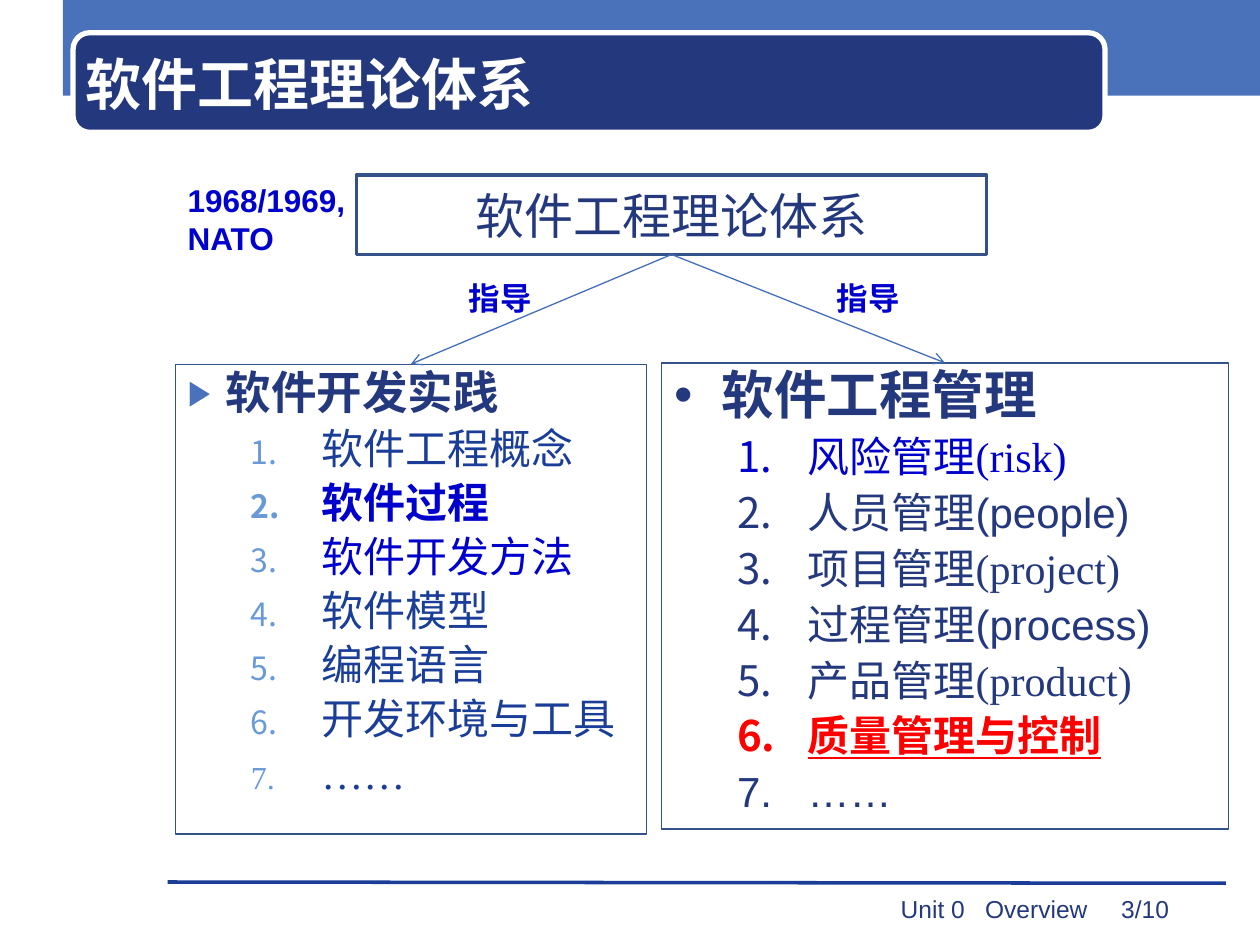
from lxml import etree
from pptx import Presentation
from pptx.dml.color import RGBColor
from pptx.enum.shapes import MSO_CONNECTOR, MSO_SHAPE
from pptx.enum.text import MSO_ANCHOR, MSO_AUTO_SIZE, PP_ALIGN
from pptx.oxml.ns import qn
from pptx.util import Inches, Pt

RECT, ROUND_RECT = MSO_SHAPE.RECTANGLE, MSO_SHAPE.ROUNDED_RECTANGLE
STRAIGHT = MSO_CONNECTOR.STRAIGHT
TOP, MIDDLE = MSO_ANCHOR.TOP, MSO_ANCHOR.MIDDLE
LEFT, CENTER = PP_ALIGN.LEFT, PP_ALIGN.CENTER
NO_FIT = MSO_AUTO_SIZE.NONE

WHITE = RGBColor(0xFF, 0xFF, 0xFF)
BAND = RGBColor(0x49, 0x72, 0xBB)
NAVY = RGBColor(0x23, 0x38, 0x7D)
ROYAL = RGBColor(0x1A, 0x3D, 0x97)
BRIGHT = RGBColor(0x00, 0x00, 0xCC)
RED = RGBColor(0xFF, 0x00, 0x00)
SKY = RGBColor(0x6A, 0x99, 0xD8)
BORDER = RGBColor(0x33, 0x52, 0x89)
ARROW = RGBColor(0x44, 0x6F, 0xBA)

SERIF, SANS = "Times New Roman", "Arial"


def place(shape, left, top, width, height):
    shape.left, shape.top = Inches(left), Inches(top)
    shape.width, shape.height = Inches(width), Inches(height)


def set_frame(tf, anchor=TOP):
    tf.word_wrap = True
    tf.auto_size = NO_FIT
    tf.vertical_anchor = anchor
    tf.margin_left = tf.margin_right = Inches(0.1)
    tf.margin_top = tf.margin_bottom = Inches(0.05)


def write(p, text, size=24, font=SERIF, color=NAVY, bold=False,
          underline=False, align=LEFT):
    p.alignment = align
    r = p.add_run()
    r.text = text
    r.font.size, r.font.name = Pt(size), font
    r.font.bold, r.font.underline = bold, underline
    r.font.color.rgb = color


def add_box(s, kind, at, fill=None, line=None, width=0.75):
    box = s.shapes.add_shape(kind, *map(Inches, at))
    box.shadow.inherit = False
    if fill is None:
        box.fill.background()
    else:
        box.fill.solid()
        box.fill.fore_color.rgb = fill
    if line is None:
        box.line.fill.background()
    else:
        box.line.color.rgb = line
        box.line.width = Pt(width)
    return box


def add_label(s, at, text, anchor=TOP, **style):
    tf = s.shapes.add_textbox(*map(Inches, at)).text_frame
    set_frame(tf, anchor)
    write(tf.paragraphs[0], text, **style)
    return tf.paragraphs[0]


def add_line(s, start, end, color, width):
    line = s.shapes.add_connector(STRAIGHT, *map(Inches, start + end))
    line.line.color.rgb = color
    line.line.width = Pt(width)
    etree.SubElement(line._element.spPr, qn("a:effectLst"))
    return line


def add_arrow(s, source, target):
    """Arrow from the bottom of source to the top of target."""
    line = add_line(s, (0, 0), (1, 1), ARROW, 0.75)
    line.begin_connect(source, 2)
    line.end_connect(target, 0)
    ln = line.line._get_or_add_ln()
    etree.SubElement(ln, qn("a:tailEnd"), type="arrow")


def set_bullet(p, color, indent, hanging, percent=100, char=None):
    pPr = p._p.get_or_add_pPr()
    pPr.set("marL", str(Inches(indent)))
    pPr.set("indent", str(-Inches(hanging)))
    clr = etree.SubElement(pPr, qn("a:buClr"))
    etree.SubElement(clr, qn("a:srgbClr"), val=str(color))
    etree.SubElement(pPr, qn("a:buSzPct"), val=str(percent * 1000))
    if char:
        etree.SubElement(pPr, qn("a:buFont"), typeface=SANS)
        etree.SubElement(pPr, qn("a:buChar"), char=char)
    else:
        etree.SubElement(pPr, qn("a:buFont"), typeface="+mj-lt")
        etree.SubElement(pPr, qn("a:buAutoNum"), type="arabicPeriod")


def add_tabs(p, *stops):
    tabs = etree.SubElement(p._p.get_or_add_pPr(), qn("a:tabLst"))
    for stop in stops:
        etree.SubElement(tabs, qn("a:tab"), pos=str(Inches(stop)), algn="l")


def fill_list(body, at, heading, items, char, indent, size, gap,
              bullet=None, number=None, percent=100):
    """Bordered list: a bulleted heading over numbered items."""
    place(body, *at)
    body.line.color.rgb = BORDER
    body.line.width = Pt(0.75)
    tf = body.text_frame
    set_frame(tf)
    p = tf.paragraphs[0]
    set_bullet(p, bullet, indent, indent, percent, char)
    p.line_spacing, p.space_before = 0.9, Pt(0)
    write(p, heading, size=size, bold=True)
    for text, style in items:
        p = tf.add_paragraph()
        p.level = 1
        set_bullet(p, number or style.get("color", NAVY), 1.06, 0.56, percent)
        p.line_spacing, p.space_before = 0.9, Pt(gap)
        write(p, text, **style)


def add_header(s, title):
    add_box(s, RECT, (0.5, 0, 9.5, 0.76), fill=BAND)
    add_box(s, ROUND_RECT, (0.58, 0.26, 8.19, 0.79), NAVY, WHITE, 3)
    # Bring the title in front of the band
    s.shapes._spTree.append(title._element)
    place(title, 0.58, 0.35, 7.83, 0.62)
    set_frame(title.text_frame, MIDDLE)
    write(title.text_frame.paragraphs[0], "软件工程理论体系",
          size=32, color=WHITE, bold=True)


def add_footer(s):
    add_line(s, (1.33, 7), (9.73, 7.01), ROYAL, 0)
    p = add_label(s, (7.05, 7.05, 2.78, 0.4), "Unit 0\tOverview\t3/10",
                  size=14, font=SANS)
    add_tabs(p, 0.67, 1.75)


def main():
    prs = Presentation()
    prs.slide_width, prs.slide_height = Inches(10), Inches(7.5)
    s = prs.slides.add_slide(prs.slide_layouts[3])
    title, practice, management = list(s.placeholders)[:3]

    add_header(s, title)
    add_footer(s)

    # The two lists
    plain, key = {"color": ROYAL}, {"color": BRIGHT}
    fill_list(practice, (1.39, 2.89, 3.74, 3.73), "软件开发实践", [
        ("软件工程概念", plain),
        ("软件过程", {"color": BRIGHT, "bold": True}),
        ("软件开发方法", key),
        ("软件模型", plain),
        ("编程语言", plain),
        ("开发环境与工具", plain),
        ("……", plain),
    ], "▶", 0.3, 26, 5, bullet=BAND, number=SKY, percent=76)
    sans = {"font": SANS}
    fill_list(management, (5.25, 2.88, 4.5, 3.7), "软件工程管理", [
        ("风险管理(risk)", key),
        ("人员管理(people)", sans),
        ("项目管理(project)", {}),
        ("过程管理(process)", sans),
        ("产品管理(product)", {}),
        ("质量管理与控制", {"font": SANS, "color": RED, "bold": True,
                     "underline": True}),
        ("……", sans),
    ], "•", 0.38, 30, 6, bullet=NAVY)

    # Theory box and the arrows to both lists
    theory = add_box(s, RECT, (2.83, 1.39, 5, 0.63), line=BORDER, width=2)
    set_frame(theory.text_frame, MIDDLE)
    write(theory.text_frame.paragraphs[0], "软件工程理论体系",
          size=28, align=CENTER)
    for body, left in ((practice, 3.58), (management, 6.5)):
        add_arrow(s, theory, body)
        add_label(s, (left, 2.17, 0.78, 0.39), "指导", MIDDLE, size=18,
                  color=BRIGHT, bold=True, align=CENTER)
    add_label(s, (1.39, 1.39, 1.69, 0.7), "1968/1969, NATO", size=18,
              font=SANS, color=BRIGHT, bold=True)

    prs.save("out.pptx")


if __name__ == "__main__":
    main()
